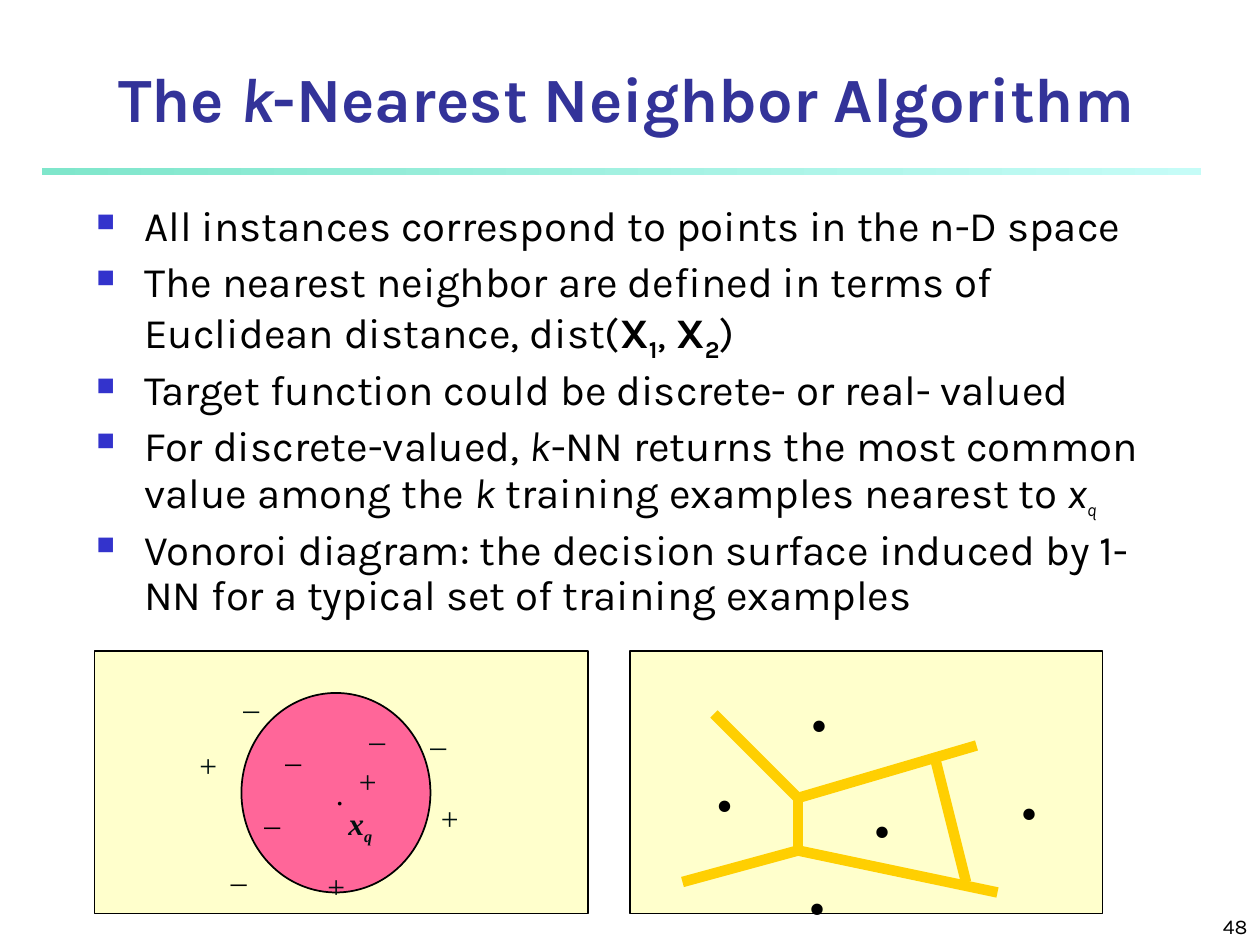
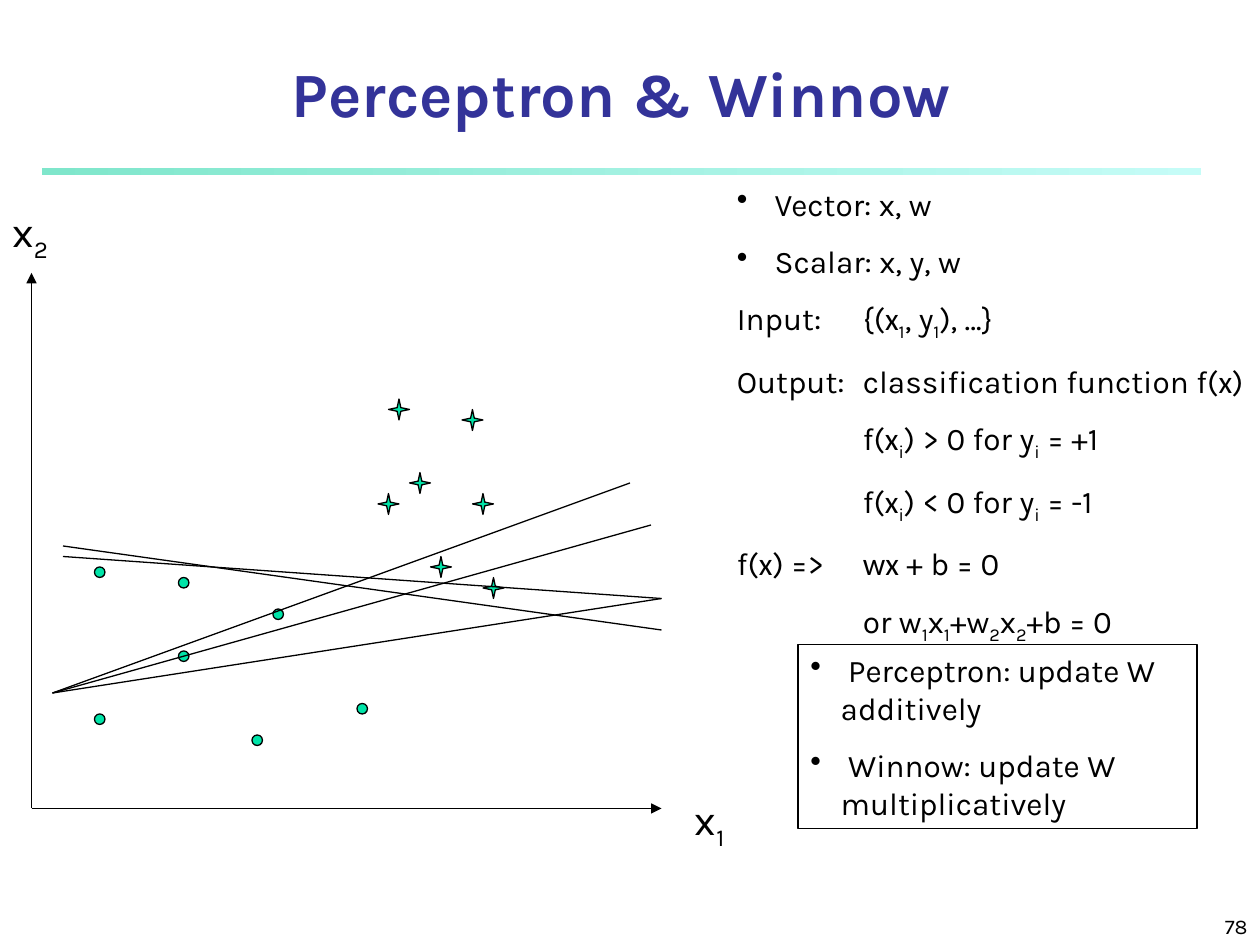
"""Build two lecture slides: nearest neighbours, and Perceptron & Winnow."""
import pptx
import pptx.dml.color
import pptx.enum.shapes
import pptx.enum.text
import pptx.oxml.ns
import pptx.oxml.xmlchemy
import pptx.util
import lxml.etree

RGBColor = pptx.dml.color.RGBColor
SHAPE = pptx.enum.shapes.MSO_SHAPE
ALIGN = pptx.enum.text.PP_ALIGN
ANCHOR = pptx.enum.text.MSO_ANCHOR
Pt = pptx.util.Pt

BLACK = RGBColor(0, 0, 0)
INK = RGBColor(0x00, 0x10, 0x10)
NAVY = RGBColor(0x33, 0x33, 0x99)
BLUE = RGBColor(0x33, 0x33, 0xCC)
CREAM = RGBColor(0xFF, 0xFF, 0xCC)
PINK = RGBColor(0xFF, 0x66, 0x99)
GOLD = RGBColor(0xFF, 0xCF, 0x01)
GREEN = RGBColor(0x00, 0xE4, 0xA8)
TEAL = RGBColor(0x7F, 0xE6, 0xCB)
PALE = RGBColor(0xC5, 0xFC, 0xF7)

WIDE, HIGH = pptx.util.Inches(10), pptx.util.Inches(7.5)
COLS, ROWS = 120, 90
SERIF = "Times New Roman"
LOOKS = {
    "b": {"bold": True},
    "i": {"italic": True},
    "bi": {"bold": True, "italic": True},
    "sub": {},
    "bsub": {"bold": True},
    "isub": {"italic": True, "size": Pt(18)},
    "bisub": {"bold": True, "italic": True, "size": Pt(16)},
    "math": {"name": "Calibri"},
}


def spot(x, y):
    """Turn a column and a row of the grid into lengths."""
    return round(WIDE * x / COLS), round(HIGH * y / ROWS)


def place(x, y, w, h):
    """Turn a block of grid cells into left, top, width and height."""
    return spot(x, y) + spot(w, h)


def style(item, **looks):
    """Set each named attribute of an item."""
    for name, value in looks.items():
        setattr(item, name, value)


def add_tag(parent, tag, **marks):
    """Append a drawing element with its attributes."""
    child = lxml.etree.SubElement(parent, pptx.oxml.ns.qn(tag))
    for name, value in marks.items():
        child.set(name, str(value))
    return child


def add_runs(para, parts, size, color=BLACK, name="Karla", **looks):
    """Write runs, each plain text or a pair of text and look."""
    for part in [parts] if isinstance(parts, str) else parts:
        text, look = (part, None) if isinstance(part, str) else part
        run = para.add_run()
        run.text = text
        base = {"size": Pt(size), "name": name, **looks, **LOOKS.get(look, {})}
        style(run.font, **base)
        run.font.color.rgb = color
        if look and look.endswith("sub"):
            run._r.get_or_add_rPr().set("baseline", "-25000")


def add_bullet(para, char, indent, color, share=100):
    """Give a paragraph a hanging bullet."""
    props = para._p.get_or_add_pPr()
    hang = pptx.util.Inches(indent)
    props.set("marL", str(hang))
    props.set("indent", str(-hang))
    add_tag(add_tag(props, "a:buClr"), "a:srgbClr", val=color)
    add_tag(props, "a:buSzPct", val=share * 1000)
    add_tag(props, "a:buChar", char=char)


def add_tab(para, inches):
    """Set one left tab stop."""
    tabs = add_tag(para._p.get_or_add_pPr(), "a:tabLst")
    add_tag(tabs, "a:tab", pos=pptx.util.Inches(inches), algn="l")


def add_paras(frame, lines):
    """Yield a paragraph for each line, using the first one that is there."""
    for n, line in enumerate(lines):
        yield (frame.add_paragraph() if n else frame.paragraphs[0]), line


def add_text(slide, cells, parts, size, wrap=True, anchor=ANCHOR.TOP,
             align=ALIGN.LEFT, before=0, **looks):
    """Add a box with one line of text."""
    frame = slide.shapes.add_textbox(*place(*cells)).text_frame
    style(frame, word_wrap=wrap, vertical_anchor=anchor)
    para = frame.paragraphs[0]
    style(para, alignment=align, space_before=Pt(before))
    add_runs(para, parts, size, **looks)


def add_form(slide, kind, cells, fill=None, width=0.75):
    """Add a preset shape with a black outline."""
    form = slide.shapes.add_shape(kind, *place(*cells))
    form.shadow.inherit = False
    if fill is None:
        form.fill.background()
    else:
        form.fill.solid()
        form.fill.fore_color.rgb = fill
    form.line.color.rgb = BLACK
    form.line.width = Pt(width)
    return form


def add_line(slide, start, end, color=BLACK, width=0.75, arrow=False):
    """Draw a straight line between two grid points."""
    kind = pptx.enum.shapes.MSO_CONNECTOR.STRAIGHT
    line = slide.shapes.add_connector(kind, *spot(*start), *spot(*end))
    line.line.color.rgb = color
    line.line.width = Pt(width)
    props = line._element.spPr
    if arrow:
        add_tag(props.find(pptx.oxml.ns.qn("a:ln")), "a:tailEnd", type="triangle")
    add_tag(props, "a:effectLst")


def add_slide(deck, title, cells, anchor, page):
    """Start a slide with its title, band and page number."""
    slide = deck.slides.add_slide(deck.slide_layouts[5])
    head = slide.shapes.title
    left, top, width, height = place(*cells)
    style(head, left=left, top=top, width=width, height=height)
    style(head.text_frame, word_wrap=True, vertical_anchor=anchor,
          auto_size=pptx.enum.text.MSO_AUTO_SIZE.NONE)
    para = head.text_frame.paragraphs[0]
    para.alignment = ALIGN.CENTER
    add_runs(para, title, 36, NAVY, bold=True)
    band = add_form(slide, SHAPE.RECTANGLE, (4, 16, 110.4, 0.65))
    band.line.fill.background()
    band.fill.gradient()
    band.fill.gradient_angle = 0
    for stop, color in zip(band.fill.gradient_stops, (TEAL, PALE)):
        stop.color.rgb = color
    add_text(slide, (95, 85, 25, 5), page, 12, anchor=ANCHOR.BOTTOM,
             align=ALIGN.RIGHT)
    return slide


def add_points(slide):
    """List the facts about nearest neighbours."""
    lines = [
        "All instances correspond to points in the n-D space",
        ["The nearest neighbor are defined in terms of Euclidean distance, dist(",
         ("X", "b"), ("1", "bsub"), ", ", ("X", "b"), ("2", "bsub"), ")"],
        "Target function could be discrete- or real- valued",
        ["For discrete-valued, ", ("k", "i"),
         "-NN returns the most common value among the ", ("k", "i"),
         " training examples nearest to ", ("x", "i"), ("q", "isub")],
        "Vonoroi diagram: the decision surface induced by 1-NN for a typical "
        "set of training examples",
    ]
    frame = slide.shapes.add_textbox(*place(8, 19, 104, 67)).text_frame
    frame.word_wrap = True
    for para, line in add_paras(frame, lines):
        style(para, line_spacing=0.9, space_before=Pt(6))
        add_bullet(para, "■", 0.38, BLUE, 60)
        add_runs(para, line, 24)


def add_query(slide):
    """Draw the query point among plus and minus examples."""
    add_form(slide, SHAPE.RECTANGLE, (9, 62, 47, 25), CREAM, 1)
    disc = add_form(slide, SHAPE.OVAL, (23, 66, 18, 19), PINK, 1)
    style(disc.text_frame, word_wrap=False, vertical_anchor=ANCHOR.MIDDLE)
    para = disc.text_frame.paragraphs[0]
    para.alignment = ALIGN.CENTER
    add_runs(para, " .", 18, name=SERIF)
    marks = [
        ("_", BLACK, [(26, 69), (24, 75), (20.8, 80.5)]),
        ("_", INK, [(34, 67), (39.8, 67.5), (22, 64)]),
        ("+", INK, [(33, 72), (30, 82), (17.8, 70.5), (40.8, 75.5)]),
        ([("x", "bi"), ("q", "bisub")], INK, [(32, 76)]),
    ]
    for text, color, spots in marks:
        wide = 4 if isinstance(text, str) else 4.7
        for x, y in spots:
            add_text(slide, (x, y, wide, 4.8), text, 18, wrap=False,
                     color=color, name=SERIF)


def add_cells(slide):
    """Draw the Voronoi edges and their points."""
    add_form(slide, SHAPE.RECTANGLE, (60, 62, 45, 25), CREAM, 1)
    upper, lower = (76, 76), (76, 81)
    edges = [((68, 68), upper), (upper, (93, 71)), (upper, lower),
             (lower, (95, 85)), (lower, (65, 84)), ((89, 72), (92, 84))]
    for start, end in edges:
        add_line(slide, start, end, GOLD, 6)
    for x, y in [(76, 62.4), (82, 72.5), (75.8, 79.8), (67, 70), (96, 70.8)]:
        add_text(slide, (x, y, 4, 9.2), ".", 40, wrap=False, name=SERIF, bold=True)


def add_terms(slide):
    """List the notation, the input and the output."""
    x, sub = ("x", "math"), ("i", "sub")
    bullets = [" Vector: x, w", " Scalar: x, y, w"]
    lines = bullets + [
        ["Input:\t{(", x, ("1", "sub"), ", y", ("1", "sub"), "), …}"],
        ["Output:\tclassification function f(", x, ")"],
        ["\tf(", x, sub, ") > 0 for y", sub, " = +1"],
        ["\tf(", x, sub, ") < 0 for y", sub, " = -1"],
        ["f(", x, ") =>\t", ("wx", "math"), " + b = 0"],
        ["\tor w", ("1", "sub"), "x", ("1", "sub"), "+w", ("2", "sub"), "x",
         ("2", "sub"), "+b = 0"],
    ]
    frame = slide.shapes.add_textbox(*place(69, 17, 51, 50.6)).text_frame
    frame.word_wrap = True
    for para, line in add_paras(frame, lines):
        para.space_before = Pt(11.2)
        if line in bullets:
            add_bullet(para, "•", 0.24, BLACK)
        else:
            add_tab(para, 1)
        add_runs(para, line, 18)


def add_plot(slide):
    """Draw the axes, both classes and the candidate lines."""
    zero, fan, meet = (3, 77), (5, 66), (63, 57)
    for tip in [(63, 77), (3, 26)]:
        add_line(slide, zero, tip, arrow=True)
    for digit, (x, y) in {"1": (65, 75), "2": (0, 19)}.items():
        add_text(slide, (x, y, 10, 6.7), ["x", (digit, "sub")], 24, before=15)
    groups = [
        (SHAPE.OVAL, 1, [(9, 54), (9, 68), (17, 55), (24, 70), (17, 62),
                         (26, 58), (34, 67)]),
        (SHAPE.STAR_4_POINT, 2, [(39, 45), (45, 47), (41, 53), (37, 38),
                                 (36, 47), (46, 55), (44, 39)]),
    ]
    for kind, side, spots in groups:
        for x, y in spots:
            add_form(slide, kind, (x, y, side, side), GREEN)
    pairs = [((60, 46), fan), (fan, (62, 50)), (fan, meet), (meet, (6, 53)),
             ((6, 52), (63, 60))]
    for start, end in pairs:
        add_line(slide, start, end)


def add_rules(slide):
    """Frame the two update rules."""
    frame = add_form(slide, SHAPE.RECTANGLE, (76, 61.4, 38, 17.5)).text_frame
    style(frame, word_wrap=True, vertical_anchor=ANCHOR.TOP)
    lines = [" Perceptron: update W additively", " Winnow: update W multiplicatively"]
    for para, line in add_paras(frame, lines):
        style(para, alignment=ALIGN.LEFT, space_before=Pt(11.2))
        add_bullet(para, "•", 0.24, BLACK)
        add_runs(para, line, 18)


def main():
    """Build and save the deck."""
    deck = pptx.Presentation()
    style(deck, slide_width=WIDE, slide_height=HIGH)
    title = ["The ", ("k", "i"), "-Nearest Neighbor Algorithm"]
    near = add_slide(deck, title, (6, 6.6, 107.3, 5.3), ANCHOR.MIDDLE, "48")
    for draw in (add_points, add_query, add_cells):
        draw(near)
    learn = add_slide(deck, "Perceptron & Winnow", (4, 5, 110.3, 8),
                      ANCHOR.BOTTOM, "78")
    for draw in (add_terms, add_plot, add_rules):
        draw(learn)
    deck.save("out.pptx")


if __name__ == "__main__":
    main()
